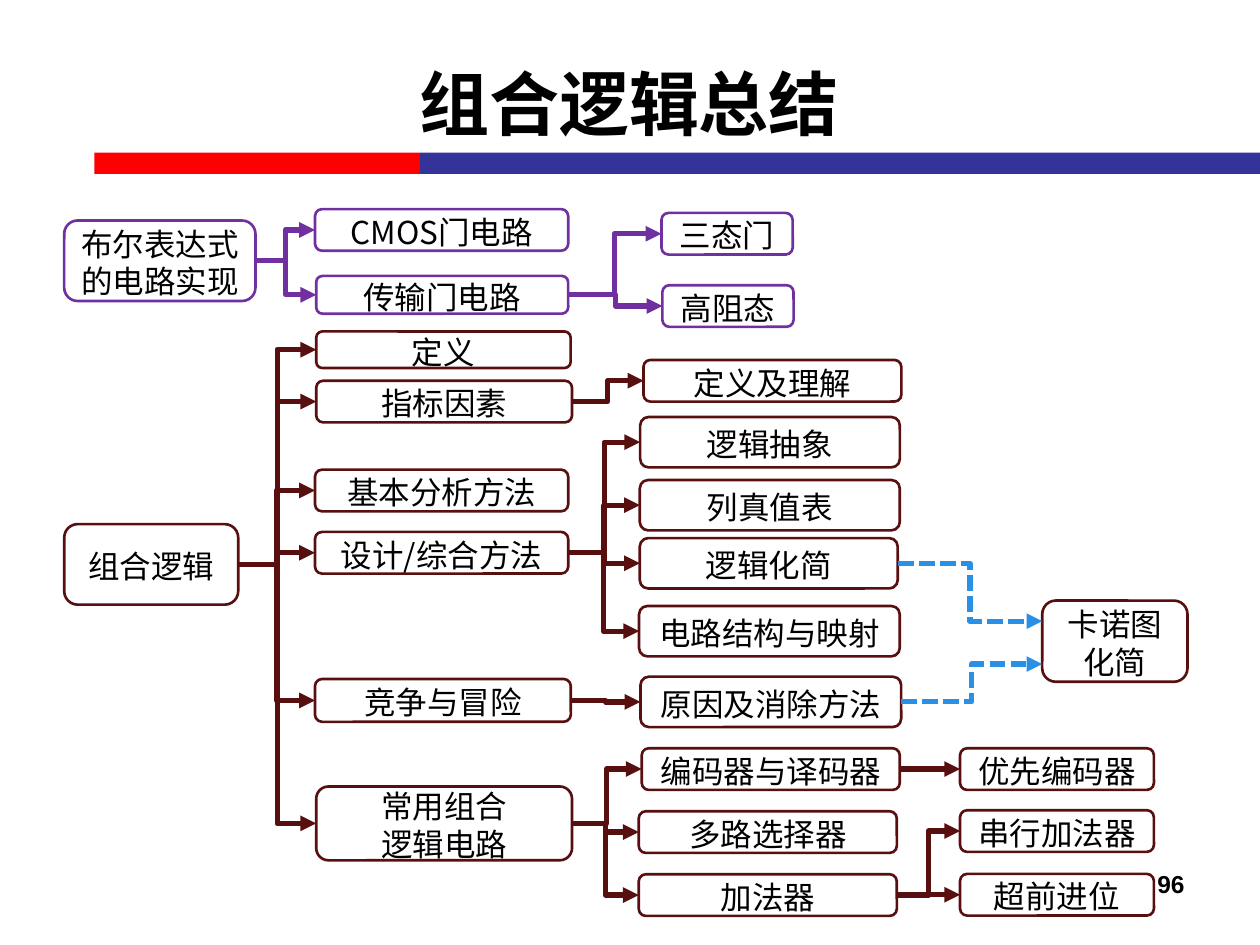
"""Build the combinational logic summary slide as a tree of linked boxes."""
from pptx import Presentation
from pptx import util as u
from pptx.dml.color import RGBColor
from pptx.enum import dml, shapes, text
from pptx.oxml.ns import qn
from lxml import etree

THEME = {
    "ink": "000000", "paper": "FFFFFF", "red": "FF0000", "blue": "333399",
    "gate": "7030A0", "logic": "580F0F", "dash": "2990E5",
    "head": 40, "body": 18, "page": 14, "lead": 21.5,
    "latin": "Arial", "han": "Noto Sans CJK SC",
}


def tint(name):
    return RGBColor.from_string(THEME[name])


def style(frame, size, face, align, bold=False):
    frame.word_wrap = True
    for para in frame.paragraphs:
        para.alignment = align
        for run in para.runs:
            run.font.size = u.Pt(THEME[size])
            run.font.name = THEME[face]
            run.font.bold = bold
            run.font.color.rgb = tint("ink")
            east = etree.SubElement(run._r.get_or_add_rPr(), qn("a:ea"))
            east.set("typeface", THEME["han"])


deck = Presentation()
deck.slide_width, deck.slide_height = u.Pt(720), u.Pt(540)
slide = deck.slides.add_slide(deck.slide_layouts[6])
pen = slide.shapes

for left, wide, hue in [(54, 186, "red"), (240, 480, "blue")]:
    bar = pen.add_shape(shapes.MSO_SHAPE.RECTANGLE,
                        u.Pt(left), u.Pt(87.2), u.Pt(wide), u.Pt(12.2))
    bar.shadow.inherit = False
    bar.fill.solid()
    bar.fill.fore_color.rgb = tint(hue)
    bar.line.fill.background()

title = pen.add_textbox(u.Pt(167), u.Pt(21.6), u.Pt(385), u.Pt(73.4))
title.text_frame.text = "组合逻辑总结"
title.text_frame.vertical_anchor = text.MSO_ANCHOR.MIDDLE
style(title.text_frame, "head", "latin", text.PP_ALIGN.CENTER, True)

nodes = {
    "gate": [
        ("布尔表达式的电路实现", 36.7, 126, 109.3, 46),
        ("CMOS门电路", 180, 119.5, 144.7, 23.8),
        ("传输门电路", 180.7, 157.7, 144, 21.6),
        ("三态门", 378, 121.7, 75, 23.8),
        ("高阻态", 378.5, 163, 75, 23.8),
    ],
    "logic": [
        ("组合逻辑", 36.7, 299.5, 99.4, 46),
        ("定义", 180.7, 189.4, 145.4, 20.9),
        ("指标因素", 180.7, 217.6, 146.2, 23.8),
        ("基本分析方法", 180, 268.4, 144.7, 23.8),
        ("设计/综合方法", 180, 304, 144.7, 23.8),
        ("竞争与冒险", 180, 388, 146.2, 24.5),
        ("常用组合\n逻辑电路", 180.7, 449.4, 146.2, 42.2),
        ("定义及理解", 367.7, 205.7, 147.4, 23.8),
        ("逻辑抽象", 365.8, 238.3, 148.4, 28.8),
        ("列真值表", 365.6, 274.3, 148.6, 28.8),
        ("逻辑化简", 365.6, 307.5, 147.4, 28.8),
        ("电路结构与映射", 365.2, 346.3, 149, 28.8),
        ("原因及消除方法", 366, 386.7, 149, 28.8),
        ("编码器与译码器", 366.7, 427.6, 147.5, 23.8),
        ("多路选择器", 365, 463.6, 147.5, 23.8),
        ("加法器", 365, 499.6, 147.5, 23.8),
        ("优先编码器", 548.6, 427.6, 110.8, 23.8),
        ("串行加法器", 548.6, 463, 110.8, 23.8),
        ("超前进位", 548.6, 499.4, 110.8, 23.8),
        ("卡诺图化简", 595.6, 343.2, 83, 46.4),
    ],
}
boxes = {}
for hue, rows in nodes.items():
    for label, *place in rows:
        box = pen.add_shape(shapes.MSO_SHAPE.ROUNDED_RECTANGLE, *map(u.Pt, place))
        box.shadow.inherit = False
        box.fill.solid()
        box.fill.fore_color.rgb = tint("paper")
        box.line.color.rgb = tint(hue)
        box.line.width = u.Pt(1.5)
        frame = box.text_frame
        frame.text = label
        frame.vertical_anchor = text.MSO_ANCHOR.MIDDLE
        frame.margin_left = frame.margin_right = u.Pt(5)
        frame.margin_top, frame.margin_bottom = u.Pt(2), 0
        style(frame, "body", "han", text.PP_ALIGN.CENTER)
        for para in frame.paragraphs:
            para.line_spacing = u.Pt(THEME["lead"])
        boxes[label] = box

tree = {
    "布尔表达式的电路实现": ["CMOS门电路", "传输门电路"],
    "传输门电路": ["三态门", "高阻态"],
    "组合逻辑": ["定义", "指标因素", "基本分析方法", "设计/综合方法",
             "竞争与冒险", "常用组合\n逻辑电路"],
    "指标因素": ["定义及理解"],
    "设计/综合方法": ["逻辑抽象", "列真值表", "逻辑化简", "电路结构与映射"],
    "竞争与冒险": ["原因及消除方法"],
    "常用组合\n逻辑电路": ["编码器与译码器", "多路选择器", "加法器"],
    "编码器与译码器": ["优先编码器"],
    "加法器": ["串行加法器", "超前进位"],
}
gates = {row[0] for row in nodes["gate"]}
links = [(start, end, "gate" if start in gates else "logic", None)
         for start, ends in tree.items() for end in ends]
links += [("逻辑化简", "卡诺图化简", "dash", 355),
          ("原因及消除方法", "卡诺图化简", "dash", 379.5)]

for start, end, hue, high in links:
    goal = boxes[end]
    drop = u.Pt(high) if high else goal.top + goal.height // 2
    link = pen.add_connector(shapes.MSO_CONNECTOR.ELBOW, 0, 0, goal.left, drop)
    link.begin_connect(boxes[start], 3)
    if high is None:
        link.end_connect(goal, 1)
    link.line.color.rgb = tint(hue)
    link.line.width = u.Pt(3)
    if hue == "dash":
        link.line.dash_style = dml.MSO_LINE.SQUARE_DOT
    tip = etree.SubElement(link.line._get_or_add_ln(), qn("a:tailEnd"))
    tip.set("type", "triangle")
    etree.SubElement(link._element.spPr, qn("a:effectLst"))

page = pen.add_textbox(u.Pt(516), u.Pt(493.2), u.Pt(168), u.Pt(36))
page.text_frame.text = "96"
style(page.text_frame, "page", "latin", text.PP_ALIGN.RIGHT, True)

deck.save("out.pptx")
